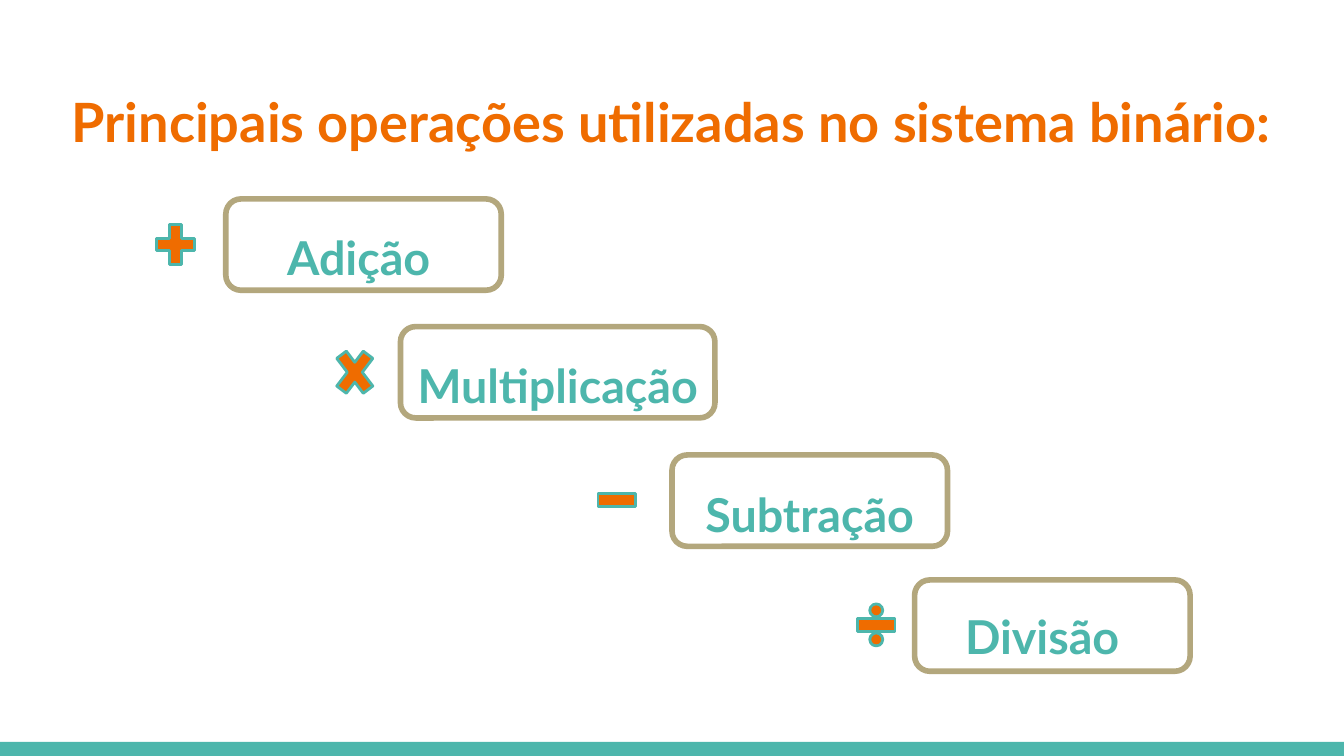
from pptx import Presentation
from pptx import util as u
from pptx.dml.color import RGBColor
from pptx.enum import shapes, text

PX = 4572  # 200 px to the inch
PAGE_WIDTH, PAGE_HEIGHT = 2000, 1125
TEAL = RGBColor(0x4D, 0xB6, 0xAC)
ORANGE = RGBColor(0xEF, 0x6C, 0x00)
SAND = RGBColor(0xB3, 0xA7, 0x7D)
KIND = shapes.MSO_SHAPE
INSET = 20

# label, frame box, label offset, extra right inset, sign, sign box, sign adjustments
OPERATIONS = [
    ("Adição", (336, 296, 410, 136), (22, 18), 14,
     KIND.MATH_PLUS, (223, 323, 76, 82), [0.235]),
    ("Multiplicação", (596, 486, 468, 136), (0, 19), 0,
     KIND.MATH_MULTIPLY, (490, 504, 76, 100), [0.235]),
    ("Subtração", (1000, 677, 410, 136), (22, 19), 0,
     KIND.MATH_MINUS, (880, 703, 76, 82), [0.235]),
    ("Divisão", (1361, 863, 410, 136), (21, 15), 30,
     KIND.MATH_DIVIDE, (1266, 889, 76, 82), [0.235, 0.059, 0.118]),
]


def emu(*lengths):
    return [u.Emu(length * PX) for length in lengths]


def write(frame, words, size, color, right=INSET):
    """Fill a text frame with one centred bold line."""
    frame.word_wrap = True
    frame.auto_size = text.MSO_AUTO_SIZE.NONE
    frame.margin_left, frame.margin_top, frame.margin_right, frame.margin_bottom = emu(
        INSET, INSET, right, INSET)
    para = frame.paragraphs[0]
    para.alignment = text.PP_ALIGN.CENTER
    span = para.add_run()
    span.text = words
    span.font.name = "Lato"
    span.font.size = u.Pt(size)
    span.font.bold = True
    span.font.color.rgb = color
    return para


def add_shape(page, kind, box, fill=None, line=None, width=0, adjustments=()):
    shape = page.shapes.add_shape(kind, *emu(*box))
    shape.shadow.inherit = False
    for index, value in enumerate(adjustments):
        shape.adjustments[index] = value
    if fill is None:
        shape.fill.background()
    else:
        shape.fill.solid()
        shape.fill.fore_color.rgb = fill
    if line is None:
        shape.line.fill.background()
    else:
        shape.line.color.rgb = line
        shape.line.width = u.Pt(width)
    return shape


def add_title(page, box, words):
    title = page.shapes.title
    title.left, title.top, title.width, title.height = emu(*box)
    title.text_frame.vertical_anchor = text.MSO_ANCHOR.TOP
    para = write(title.text_frame, words, 29, ORANGE)
    para.line_spacing = 1.15


def add_operation(page, box, label, offset, extra, sign, sign_box, adjustments):
    """Place a label, its rounded frame and its sign."""
    left, top, width, height = box
    across, down = offset
    label_box = page.shapes.add_textbox(
        *emu(left + across, top + down, width - 2 * across, height))
    label_box.text_frame.vertical_anchor = text.MSO_ANCHOR.MIDDLE
    para = write(label_box.text_frame, label, 25, TEAL, INSET + extra)
    para.space_after = u.Pt(16)
    add_shape(page, KIND.ROUNDED_RECTANGLE, box, line=SAND, width=3,
              adjustments=[0.167])
    add_shape(page, sign, sign_box, ORANGE, TEAL, 1.5, adjustments)


def main():
    deck = Presentation()
    deck.slide_width, deck.slide_height = emu(PAGE_WIDTH, PAGE_HEIGHT)
    page = deck.slides.add_slide(deck.slide_layouts[5])

    # Bottom band and title
    add_shape(page, KIND.RECTANGLE, (0, 1104, PAGE_WIDTH, 21), TEAL)
    add_title(page, (68, 97, 1864, 154),
              "Principais operações utilizadas no sistema binário:")

    # Staircase of operations
    for label, box, offset, extra, sign, sign_box, adjustments in OPERATIONS:
        add_operation(page, box, label, offset, extra, sign, sign_box, adjustments)

    deck.save("out.pptx")


if __name__ == "__main__":
    main()
